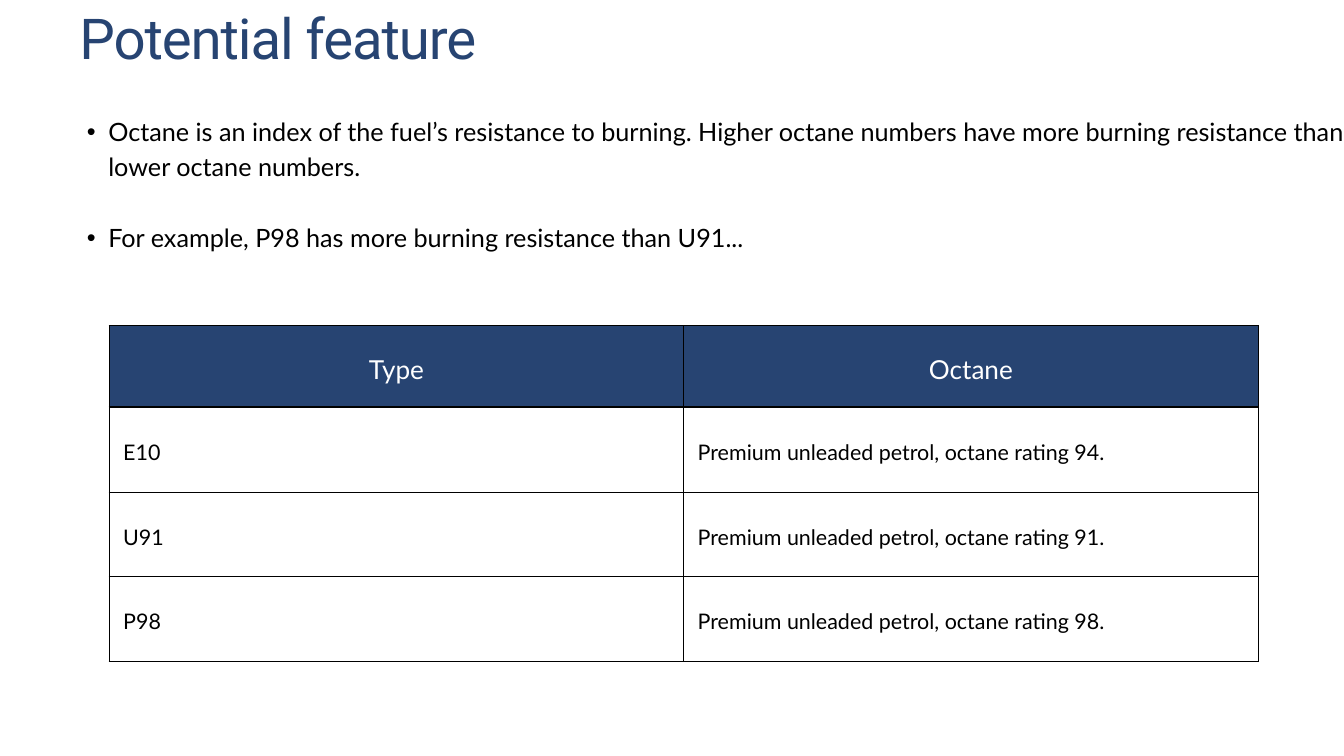
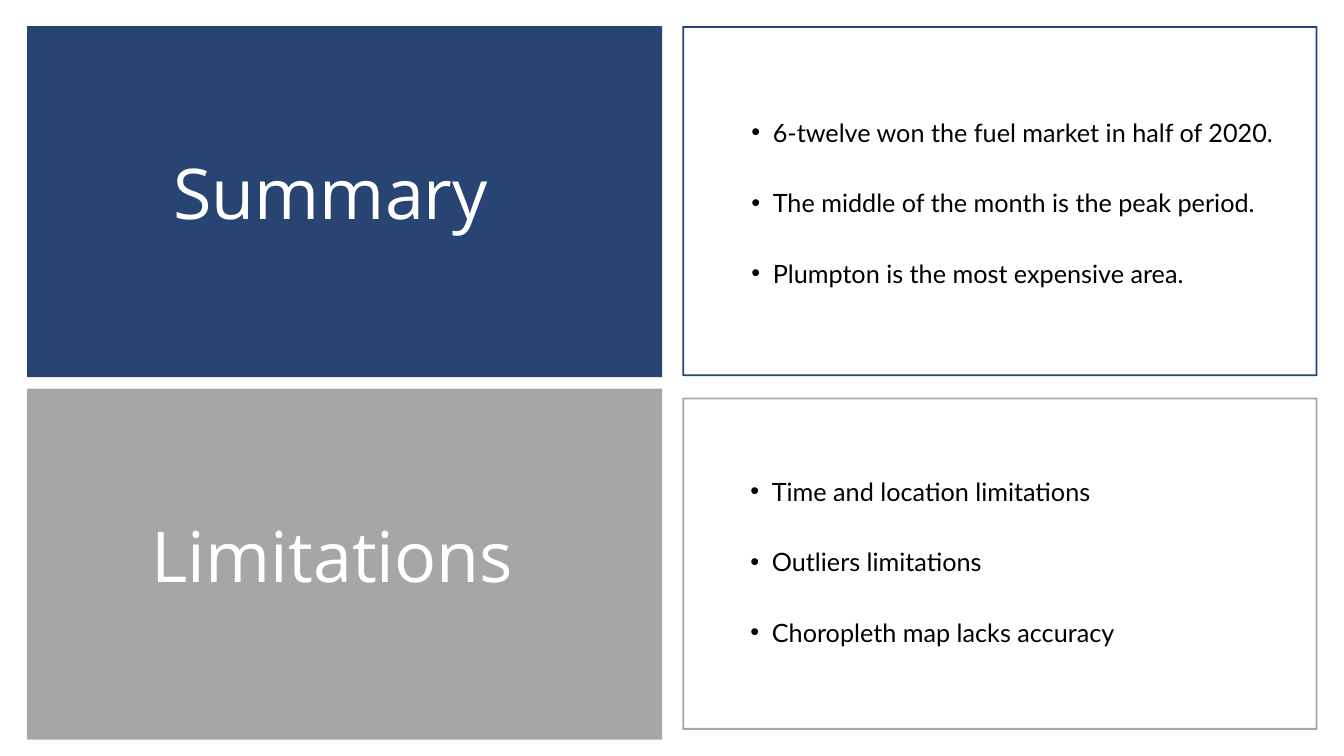
from dataclasses import dataclass

import pptx
import pptx.dml.color
import pptx.enum.shapes
import pptx.enum.text
import pptx.oxml
import pptx.oxml.ns
import pptx.util
from lxml import etree

Pt = pptx.util.Pt
ALIGN = pptx.enum.text.PP_ALIGN
MIDDLE = pptx.enum.text.MSO_ANCHOR.MIDDLE


@dataclass(frozen=True)
class Theme:
    navy: str = "274472"
    grey: str = "A6A6A6"
    black: str = "000000"
    white: str = "FFFFFF"
    heading_font: str = "Roboto"
    panel_font: str = "Open Sans"
    body_font: str = "Lato"
    heading_size: float = 60.4
    panel_size: float = 75
    bullet_size: float = 27
    header_size: float = 28
    cell_size: float = 23
    bullet_leading: float = 37.8
    border: float = 1.5
    frame: float = 2


THEME = Theme()


def rgb(color):
    return pptx.dml.color.RGBColor.from_string(color)


def write(paragraph, text, *, size, leading, font=THEME.body_font, color=THEME.black,
          align=ALIGN.LEFT, tracking=None, before=0):
    paragraph.alignment = align
    paragraph.line_spacing = Pt(leading)
    paragraph.space_before = Pt(before)
    run = paragraph.add_run()
    run.text = text
    run.font.size = Pt(size)
    run.font.name = font
    run.font.color.rgb = rgb(color)
    if tracking is not None:
        run.font._element.set("spc", str(round(tracking * 100)))


def text_frame(slide, box):
    frame = slide.shapes.add_textbox(*map(Pt, box)).text_frame
    frame.word_wrap = True
    frame.auto_size = pptx.enum.text.MSO_AUTO_SIZE.SHAPE_TO_FIT_TEXT
    frame.margin_left = frame.margin_top = frame.margin_right = frame.margin_bottom = 0
    return frame


def add_bullets(slide, box, points):
    frame = text_frame(slide, box)
    for index, point in enumerate(points):
        paragraph = frame.add_paragraph() if index else frame.paragraphs[0]
        write(paragraph, point, size=THEME.bullet_size, leading=THEME.bullet_leading,
              before=THEME.bullet_leading if index else 0)
        properties = paragraph._p.get_or_add_pPr()
        properties.set("marL", str(Pt(46)))
        properties.set("indent", str(Pt(-23)))
        etree.SubElement(properties, pptx.oxml.ns.qn("a:buFont"), typeface="Arial")
        etree.SubElement(properties, pptx.oxml.ns.qn("a:buChar"), char="•")


def add_borders(cell):
    properties = cell._tc.get_or_add_tcPr()
    for side in "LRTB":
        properties.append(pptx.oxml.parse_xml(
            f'<a:ln{side} {pptx.oxml.ns.nsdecls("a")} w="{Pt(THEME.border)}">'
            f'<a:solidFill><a:srgbClr val="{THEME.black}"/></a:solidFill></a:ln{side}>'))


def add_octane_table(slide, box, rows, heights):
    octanes = slide.shapes.add_table(len(rows), len(rows[0]), *map(Pt, box)).table
    octanes.first_row = octanes.horz_banding = False
    for column in octanes.columns:
        column.width = Pt(box[2] / len(rows[0]))
    for row_index, (values, height) in enumerate(zip(rows, heights)):
        octanes.rows[row_index].height = Pt(height)
        for column_index, value in enumerate(values):
            cell = octanes.cell(row_index, column_index)
            cell.vertical_anchor = MIDDLE
            cell.margin_left = cell.margin_right = Pt(15)
            cell.margin_top = cell.margin_bottom = Pt(15)
            add_borders(cell)
            paragraph = cell.text_frame.paragraphs[0]
            if row_index == 0:
                cell.fill.solid()
                cell.fill.fore_color.rgb = rgb(THEME.navy)
                write(paragraph, value, size=THEME.header_size, leading=39.2,
                      color=THEME.white, align=ALIGN.CENTER)
            else:
                cell.fill.background()
                write(paragraph, value, size=THEME.cell_size, leading=32.2)


def paint(shape, color):
    shape.shadow.inherit = False
    shape.fill.solid()
    shape.fill.fore_color.rgb = rgb(color)
    shape.line.fill.background()


def add_panel(slide, box, title, title_offset, color):
    left, top, width, height = box
    panel = slide.shapes.add_shape(
        pptx.enum.shapes.MSO_SHAPE.RECTANGLE, *map(Pt, box))
    paint(panel, color)
    frame = text_frame(slide, (left + title_offset, top + 132.5, 557, 90))
    write(frame.paragraphs[0], title, size=THEME.panel_size, leading=90,
          font=THEME.panel_font, color=THEME.white)


def add_framed_points(slide, box, points, points_offset, color):
    left, top, width, height = box
    right, bottom, edge = left + width, top + height, THEME.frame
    outer = [(left, top), (left, bottom), (right, bottom), (right, top)]
    inner = [(right - edge, bottom - edge), (left + edge, bottom - edge),
             (left + edge, top + edge), (right - edge, top + edge)]
    outer, inner = ([(Pt(x), Pt(y)) for x, y in corners] for corners in (outer, inner))
    builder = slide.shapes.build_freeform(*outer[0])
    builder.add_line_segments(outer[1:], close=True)
    builder.move_to(*inner[0])
    builder.add_line_segments(inner[1:], close=True)
    paint(builder.convert_to_shape(), color)
    x, y = points_offset
    add_bullets(slide, (left + x, top + y, width - x, 189), points)


def build_feature_slide(slide, box):
    left, top, width, height = box
    heading = text_frame(slide, (left - 189.4, top + 22.3, 974.2, 58.3))
    write(heading.paragraphs[0], "Potential feature", size=THEME.heading_size,
          leading=53.2, font=THEME.heading_font, color=THEME.navy,
          align=ALIGN.CENTER, tracking=-1.2)
    add_bullets(slide, (left + 70, top + 119.5, width - 70, 149), [
        "Octane is an index of the fuel’s resistance to burning. Higher octane numbers "
        "have more burning resistance than lower octane numbers.",
        "For example, P98 has more burning resistance than U91...",
    ])
    ratings = {"E10": 94, "U91": 91, "P98": 98}
    rows = [("Type", "Octane")] + [
        (fuel, f"Premium unleaded petrol, octane rating {octane}.")
        for fuel, octane in ratings.items()]
    add_octane_table(slide, (left + 117, top + 349, 1231, 360), rows, (87, 92, 90, 91))


def build_summary_slide(slide, box):
    left, top, width, height = box
    panel_width, panel_height = 680.5, 376
    panel_left, frame_left = left + 29, left + 731
    add_panel(slide, (panel_left, top + 28, panel_width, panel_height),
              "Summary", 157, THEME.navy)
    add_framed_points(slide, (frame_left, top + 28, panel_width, 375), [
        "6-twelve won the fuel market in half of 2020.",
        "The middle of the month is the peak period.",
        "Plumpton is the most expensive area.",
    ], (51, 92), THEME.navy)
    add_panel(slide, (panel_left, top + 416.5, panel_width, panel_height),
              "Limitations", 133.5, THEME.grey)
    add_framed_points(slide, (frame_left, top + 426, panel_width, 356), [
        "Time and location limitations",
        "Outliers limitations",
        "Choropleth map lacks accuracy",
    ], (50, 78.5), THEME.grey)


def main():
    width, height = 1440, 810
    deck = pptx.Presentation()
    deck.slide_width, deck.slide_height = Pt(width), Pt(height)
    for build in (build_feature_slide, build_summary_slide):
        slide = deck.slides.add_slide(deck.slide_layouts[6])
        slide.background.fill.solid()
        slide.background.fill.fore_color.rgb = rgb(THEME.white)
        build(slide, (0, 0, width, height))
    deck.save("out.pptx")


if __name__ == "__main__":
    main()
